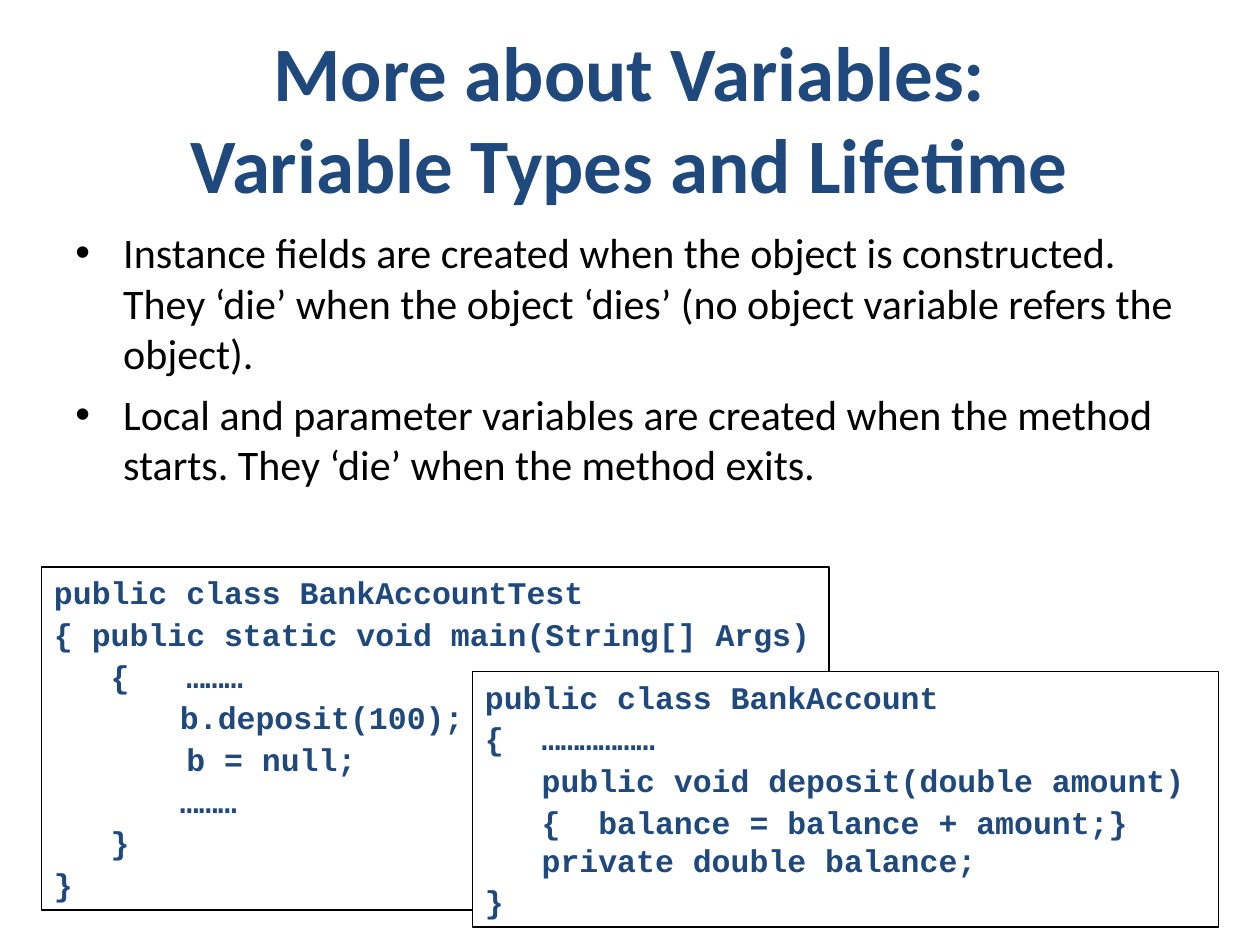
from dataclasses import dataclass
from lxml.etree import SubElement
from pptx import Presentation
from pptx.dml.color import RGBColor
from pptx.enum.shapes import MSO_SHAPE
from pptx.enum.text import MSO_ANCHOR, MSO_AUTO_SIZE, PP_ALIGN
from pptx.oxml.ns import qn
from pptx.util import Inches, Pt


@dataclass(frozen=True)
class Theme:
    navy: RGBColor = RGBColor(0x1F, 0x49, 0x7D)
    black: RGBColor = RGBColor(0, 0, 0)
    white: RGBColor = RGBColor(255, 255, 255)
    prose_font: str = "Calibri"
    code_font: str = "Courier New"
    title_size: int = 44
    body_size: int = 24
    code_size: int = 18


THEME = Theme()
WIDTH, HEIGHT = 10, 7.5
MARGIN = WIDTH * 0.05
BULLET_INDENT = 0.38
CODE_COLUMN = 0.15  # width of one monospaced character
CODE_GAP = 2.2

BULLETS = (
    "Instance fields are created when the object is constructed. They ‘die’ when "
    "the object ‘dies’ (no object variable refers the object).",
    "Local and parameter variables are created when the method starts. They ‘die’ "
    "when the method exits.",
)

# Code lines: text, start column, column reached by a tab, space before
TAB_STOP = 1 / CODE_COLUMN
TEST_CLASS = (
    ("public class BankAccountTest", 0, 0, CODE_GAP),
    ("{ public static void main(String[] Args)", 0, 0, CODE_GAP),
    ("{\t………", 3, 7, CODE_GAP),
    ("b.deposit(100);", TAB_STOP, TAB_STOP, CODE_GAP),
    ("b = null;", 7, 7, CODE_GAP),
    ("………", TAB_STOP, TAB_STOP, CODE_GAP),
    ("}", 3, 3, CODE_GAP),
    ("}", 0, 0, CODE_GAP),
)
ACCOUNT_CLASS = (
    ("public class BankAccount", 0, 0, CODE_GAP),
    ("{\t………………", 0, 3, CODE_GAP),
    ("public void deposit(double amount)", 3, 3, CODE_GAP),
    ("{\tbalance = balance + amount;}", 3, 6, CODE_GAP),
    ("private double balance;", 3, 3, 0),
    ("}", 0, 0, CODE_GAP),
)


def write(paragraph, text, *, size, font, color, bold=False,
          align=PP_ALIGN.LEFT, before=0, start=0, hang=0, bullet=None):
    """Fill a paragraph; start and hang are the first-line and wrapped indents."""
    paragraph.text = text
    paragraph.alignment = align
    paragraph.space_before = Pt(before)
    for run in paragraph.runs:
        run.font.size = Pt(size)
        run.font.name = font
        run.font.bold = bold
        run.font.color.rgb = color
    properties = paragraph._p.get_or_add_pPr()
    properties.set("marL", str(Inches(hang)))
    properties.set("indent", str(Inches(start - hang)))
    if bullet:
        SubElement(properties, qn("a:buFont"), typeface="Arial")
        SubElement(properties, qn("a:buChar"), char=bullet)


def paragraphs(frame, count):
    """Return the frame's first paragraph and as many new ones as needed."""
    return [frame.paragraphs[0]] + [frame.add_paragraph() for _ in range(count - 1)]


def add_text_box(slide, left, top, width, height, anchor=MSO_ANCHOR.TOP):
    shape = slide.shapes.add_textbox(*map(Inches, (left, top, width, height)))
    shape.text_frame.word_wrap = True
    shape.text_frame.vertical_anchor = anchor
    return shape.text_frame


def add_code_panel(slide, left, top, width, height, lines):
    shape = slide.shapes.add_shape(
        MSO_SHAPE.RECTANGLE, *map(Inches, (left, top, width, height)))
    shape.shadow.inherit = False
    shape.fill.solid()
    shape.fill.fore_color.rgb = THEME.white
    shape.line.color.rgb = THEME.black
    shape.line.width = Pt(1)
    frame = shape.text_frame
    frame.word_wrap = True
    frame.auto_size = MSO_AUTO_SIZE.SHAPE_TO_FIT_TEXT
    frame.vertical_anchor = MSO_ANCHOR.TOP
    for paragraph, line in zip(paragraphs(frame, len(lines)), lines):
        text, column, tab_column, before = line
        write(paragraph, text, size=THEME.code_size, font=THEME.code_font,
              color=THEME.navy, bold=True, before=before,
              start=column * CODE_COLUMN, hang=tab_column * CODE_COLUMN)


def main():
    presentation = Presentation()
    presentation.slide_width = Inches(WIDTH)
    presentation.slide_height = Inches(HEIGHT)
    slide = presentation.slides.add_slide(presentation.slide_layouts[6])
    content_width = WIDTH - 2 * MARGIN

    # Title
    title = add_text_box(slide, MARGIN, HEIGHT * 0.04, content_width, 1.25,
                         MSO_ANCHOR.MIDDLE)
    write(title.paragraphs[0], "More about Variables:\vVariable Types and Lifetime",
          size=THEME.title_size, font=THEME.prose_font, color=THEME.navy,
          bold=True, align=PP_ALIGN.CENTER)

    # Bullets
    body = add_text_box(slide, MARGIN, 1.75, content_width, HEIGHT * 0.66)
    for paragraph, text in zip(paragraphs(body, len(BULLETS)), BULLETS):
        write(paragraph, text, size=THEME.body_size, font=THEME.prose_font,
              color=THEME.black, before=6, hang=BULLET_INDENT, bullet="•")

    # Overlapping code panels
    add_code_panel(slide, 0.33, HEIGHT * 0.6, 6.25, 2.72, TEST_CLASS)
    add_code_panel(slide, 3.75, 5.33, 5.92, 2.03, ACCOUNT_CLASS)

    presentation.save("out.pptx")


if __name__ == "__main__":
    main()
